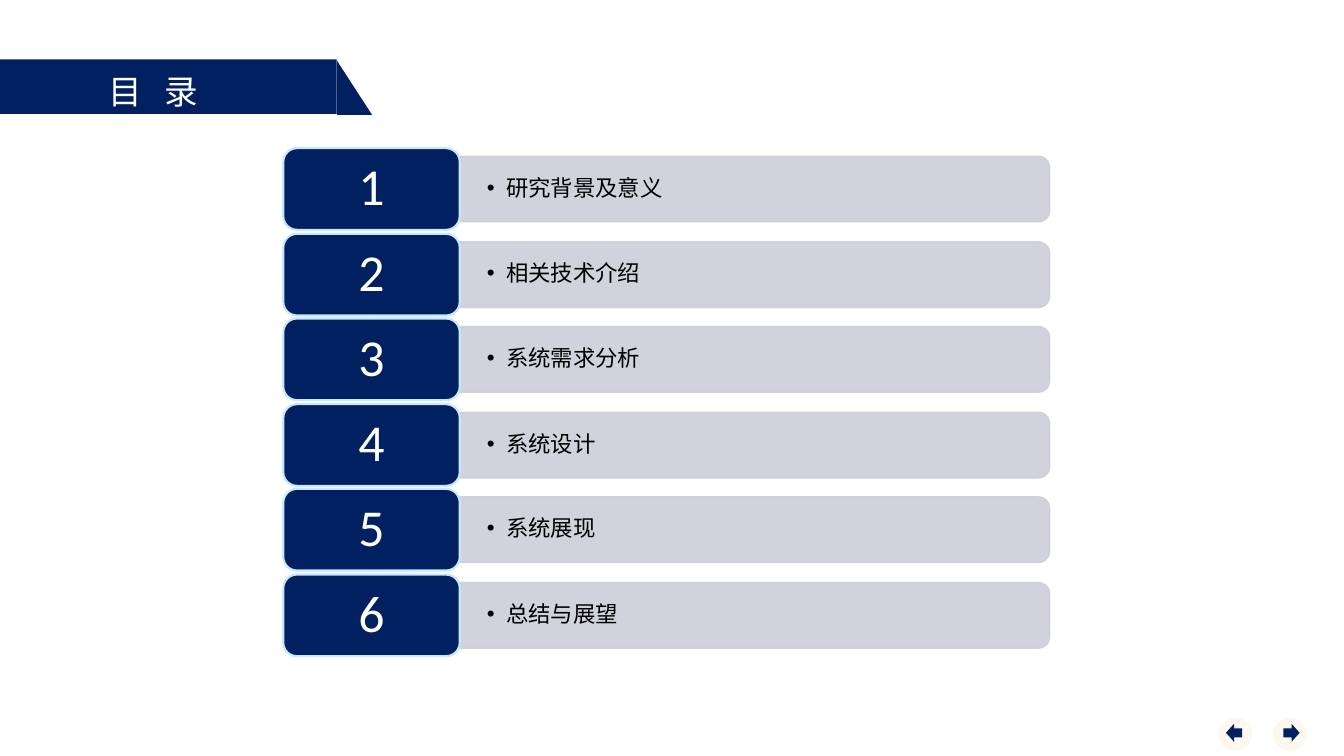
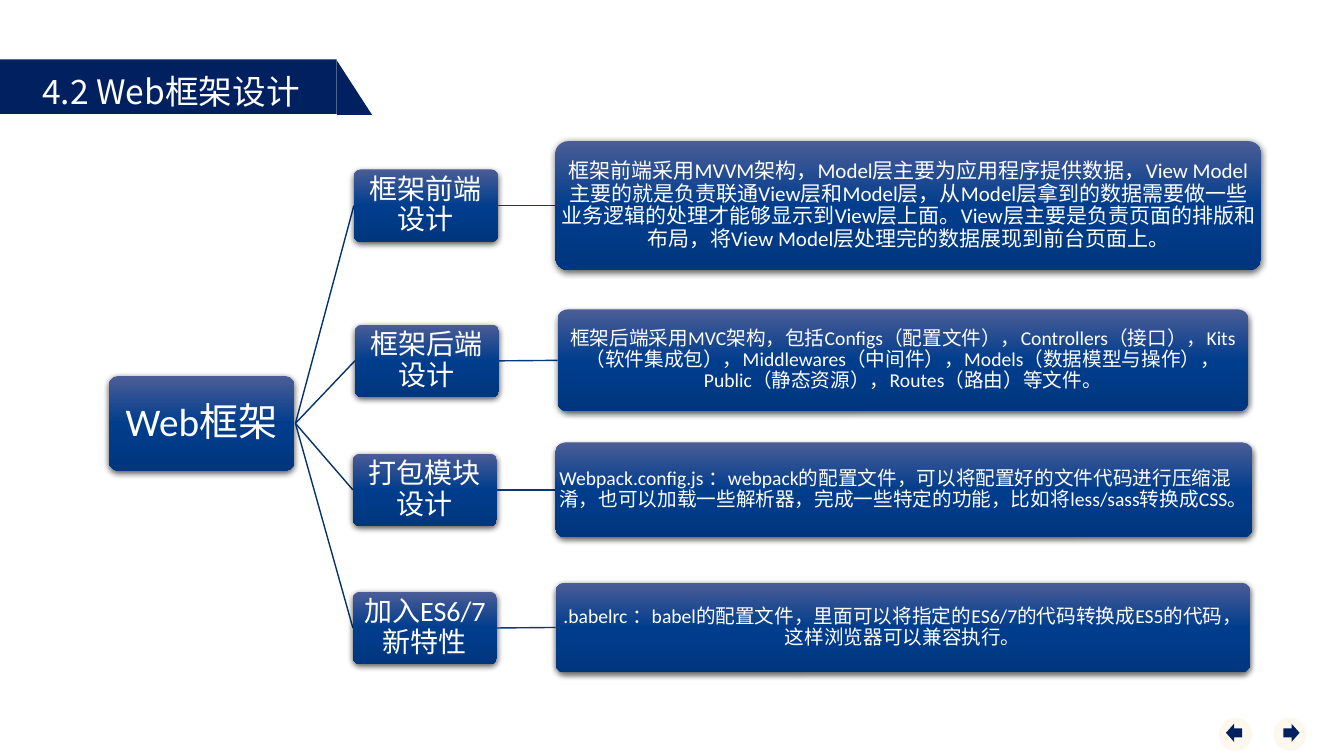
from math import cos, pi, sin

from lxml.etree import SubElement
from pptx import Presentation
from pptx.dml.color import RGBColor
from pptx.enum.shapes import MSO_CONNECTOR, MSO_SHAPE
from pptx.enum.text import MSO_ANCHOR, MSO_AUTO_SIZE, PP_ALIGN
from pptx.oxml import parse_xml
from pptx.oxml.ns import nsdecls, qn
from pptx.util import Pt

SCALE = 9144
NAVY = RGBColor(0x00, 0x20, 0x60)
WHITE = RGBColor(0xFF, 0xFF, 0xFF)
BLACK = RGBColor(0x00, 0x00, 0x00)
CREAM = RGBColor(0xFC, 0xF8, 0xED)
GREY = RGBColor(0xCC, 0xCE, 0xD9)
SKY = RGBColor(0xC6, 0xE7, 0xFC)
ROOT_LINK = RGBColor(0x06, 0x32, 0x6C)
CARD_LINK = RGBColor(0x06, 0x38, 0x7B)
GRADIENT = {
    0: RGBColor(0x4B, 0x5D, 0x96),
    50: RGBColor(0x01, 0x3D, 0x8D),
    100: RGBColor(0x00, 0x36, 0x7E),
}
LATIN, CJK = "Calibri", "Noto Sans CJK SC"
CENTERED = {"alignment": PP_ALIGN.CENTER, "line_spacing": 0.9}
LEFT = {"alignment": PP_ALIGN.LEFT, "line_spacing": 0.9}
BULLETED = {**LEFT, "level": 1}
TITLE = {"alignment": PP_ALIGN.LEFT}

CHAPTERS = ["研究背景及意义", "相关技术介绍", "系统需求分析", "系统设计", "系统展现", "总结与展望"]
BRANCHES = [
    ("框架前端设计", (351, 168), (551, 140, 700, 128), 15, CENTERED,
     "框架前端采用MVVM架构，Model层主要为应用程序提供数据，View Model主要的就是负责联通View层和Model层，"
     "从Model层拿到的数据需要做一些业务逻辑的处理才能够显示到View层上面。View层主要是负责页面的排版和布局，"
     "将View Model层处理完的数据展现到前台页面上。"),
    ("框架后端设计", (352, 322), (553, 307, 685, 101), 14, CENTERED,
     "框架后端采用MVC架构，包括Configs（配置文件），Controllers（接口），Kits（软件集成包），"
     "Middlewares（中间件），Models（数据模型与操作），Public（静态资源），Routes（路由）等文件。"),
    ("打包模块设计", (350, 450), (551, 439, 691, 94), 14, LEFT,
     "Webpack.config.js ：webpack的配置文件，可以将配置好的文件代码进行压缩混淆，"
     "也可以加载一些解析器，完成一些特定的功能，比如将less/sass转换成CSS。"),
    ("加入ES6/7新特性", (350, 587), (551, 578, 689, 89), 14, CENTERED,
     ".babelrc ：babel的配置文件，里面可以将指定的ES6/7的代码转换成ES5的代码，这样浏览器可以兼容执行。"),
]


def emu(*lengths):
    """Turn px lengths into EMU."""
    return [round(length * SCALE) for length in lengths]


def apply(target, values):
    """Set each named value on the target."""
    for name, value in values.items():
        setattr(target, name, value)


class Deck:
    """Hold the shared style and the current slide."""

    def __init__(self):
        """Start an empty wide presentation."""
        self.presentation = Presentation()
        width, height = emu(1333, 750)
        apply(self.presentation, {"slide_width": width, "slide_height": height})
        self.shapes = None

    def page(self, title, title_box, spacing=0):
        """Add a slide with its title band and navigation arrows."""
        layout = self.presentation.slide_layouts[6]
        self.shapes = self.presentation.slides.add_slide(layout).shapes
        self.block(MSO_SHAPE.RECTANGLE, (0, 59, 334, 54), NAVY)
        self.block(MSO_SHAPE.RIGHT_TRIANGLE, (334, 60, 35, 54), NAVY)
        heading = self.shapes.add_textbox(*emu(*title_box))
        run = self.label(heading, title, 24, WHITE, TITLE, (10, 5, 10, 5), MSO_ANCHOR.TOP, CJK)
        heading.text_frame.auto_size = MSO_AUTO_SIZE.SHAPE_TO_FIT_TEXT
        if spacing:
            run.font._element.set("spc", str(spacing))
        for arrow, disc_left, arrow_left in (
            (MSO_SHAPE.RIGHT_ARROW, 1263, 1273),
            (MSO_SHAPE.LEFT_ARROW, 1209, 1216),
        ):
            self.block(MSO_SHAPE.OVAL, (disc_left, 712, 33, 33), CREAM)
            self.block(arrow, (arrow_left, 718, 16, 18), NAVY)

    def block(self, preset, box, color):
        """Add a flat preset shape without outline."""
        shape = self.shapes.add_shape(preset, *emu(*box))
        shape.shadow.inherit = False
        shape.fill.solid()
        shape.fill.fore_color.rgb = color
        shape.line.fill.background()
        return shape

    def label(self, shape, text, size, color, paragraph_format, insets,
              anchor=MSO_ANCHOR.MIDDLE, latin=LATIN):
        """Put one paragraph into a shape and return its run."""
        sides = ("margin_left", "margin_top", "margin_right", "margin_bottom")
        frame = shape.text_frame
        apply(frame, {"word_wrap": True, "vertical_anchor": anchor, **dict(zip(sides, emu(*insets)))})
        paragraph = frame.paragraphs[0]
        apply(paragraph, paragraph_format)
        run = paragraph.add_run()
        run.text = text
        apply(run.font, {"name": latin, "size": Pt(size)})
        run.font.color.rgb = color
        properties = run.font._element
        properties.find(qn("a:latin")).addnext(
            parse_xml(f'<a:ea {nsdecls("a")} typeface="{CJK}"/>'))
        return run

    def number(self, box, text):
        """Add a numbered chapter tile."""
        tile = self.block(MSO_SHAPE.ROUNDED_RECTANGLE, box, NAVY)
        tile.line.color.rgb = SKY
        tile.line.width = Pt(1.5)
        self.label(tile, text, 37, WHITE, CENTERED, (19, 12, 19, 12))

    def bar(self, box, text, radius=11, steps=8):
        """Add a bulleted bar with rounded right corners."""
        left, top, width, height = box
        right, bottom = left + width, top + height
        outline = [(left, top)]
        for start, center_y in ((-pi / 2, top + radius), (0, bottom - radius)):
            for step in range(steps + 1):
                angle = start + pi / 2 * step / steps
                outline.append((right - radius + radius * cos(angle), center_y + radius * sin(angle)))
        outline.append((left, bottom))
        points = [emu(*point) for point in outline]
        builder = self.shapes.build_freeform(*points[0])
        builder.add_line_segments(points[1:], close=True)
        bar = builder.convert_to_shape()
        bar.shadow.inherit = False
        bar.line.width = Pt(1)
        for paint in (bar.fill, bar.line.fill):
            paint.solid()
            paint.fore_color.rgb = GREY
        for color in bar._element.spPr.iter(qn("a:srgbClr")):
            SubElement(color, qn("a:alpha"), val="90000")
        run = self.label(bar, text, 16, BLACK, BULLETED, (27, 17, 30, 17))
        properties = run._r.getparent().get_or_add_pPr()
        indent, = emu(19)
        for name, value in {"marL": indent, "indent": -indent}.items():
            properties.set(name, str(value))
        SubElement(properties, qn("a:buFont"), typeface="Arial")
        SubElement(properties, qn("a:buChar"), char="•")

    def node(self, box, text, size, paragraph_format=CENTERED, inset=1):
        """Add a shaded diagram node with text."""
        node = self.block(MSO_SHAPE.ROUNDED_RECTANGLE, box, NAVY)
        node.adjustments[0] = 0.1
        properties = node._element.spPr
        stops = "".join(
            f'<a:gs pos="{position * 1000}"><a:srgbClr val="{color}"/></a:gs>'
            for position, color in GRADIENT.items())
        properties.replace(properties.find(qn("a:solidFill")), parse_xml(
            f'<a:gradFill {nsdecls("a")} rotWithShape="1"><a:gsLst>{stops}</a:gsLst>'
            '<a:lin ang="5400000" scaled="0"/></a:gradFill>'))
        shadow = SubElement(
            properties.find(qn("a:effectLst")), qn("a:outerShdw"),
            blurRad=str(Pt(4.5)), dist=str(Pt(1.5)), dir="5400000", rotWithShape="0")
        SubElement(SubElement(shadow, qn("a:srgbClr"), val="000000"), qn("a:alpha"), val="63000")
        self.label(node, text, size, WHITE, paragraph_format, (inset,) * 4)

    def link(self, start, end, color):
        """Join two points with a thin line."""
        link = self.shapes.add_connector(MSO_CONNECTOR.STRAIGHT, *emu(*start, *end))
        link.line.color.rgb = color
        link.line.width = Pt(1)
        SubElement(link._element.spPr, qn("a:effectLst"))

    def contents(self):
        """Build the table of contents."""
        self.page("目 录", (98, 65, 163, 51), spacing=540)
        for index, chapter in enumerate(CHAPTERS):
            top = round(147 + 84.6 * index)
            self.bar((456, top + 8, 585, 65), chapter)
            self.number((281, top, 175, 81), str(index + 1))

    def framework(self):
        """Build the web framework tree."""
        self.page("4.2 Web框架设计", (32, 65, 337, 50))
        self.node((108, 373, 184, 94), "Web框架", 28, inset=2)
        for topic, (left, top), card, size, paragraph_format, detail in BRANCHES:
            middle = top + 36
            self.link((293, 420), (left, middle), ROOT_LINK)
            self.node((left, top, 143, 72), topic, 20)
            self.link((left + 143, middle), (card[0], card[1] + card[3] / 2), CARD_LINK)
            self.node(card, detail, size, paragraph_format)


def main():
    """Build and save both slides."""
    deck = Deck()
    deck.contents()
    deck.framework()
    deck.presentation.save("out.pptx")


if __name__ == "__main__":
    main()
